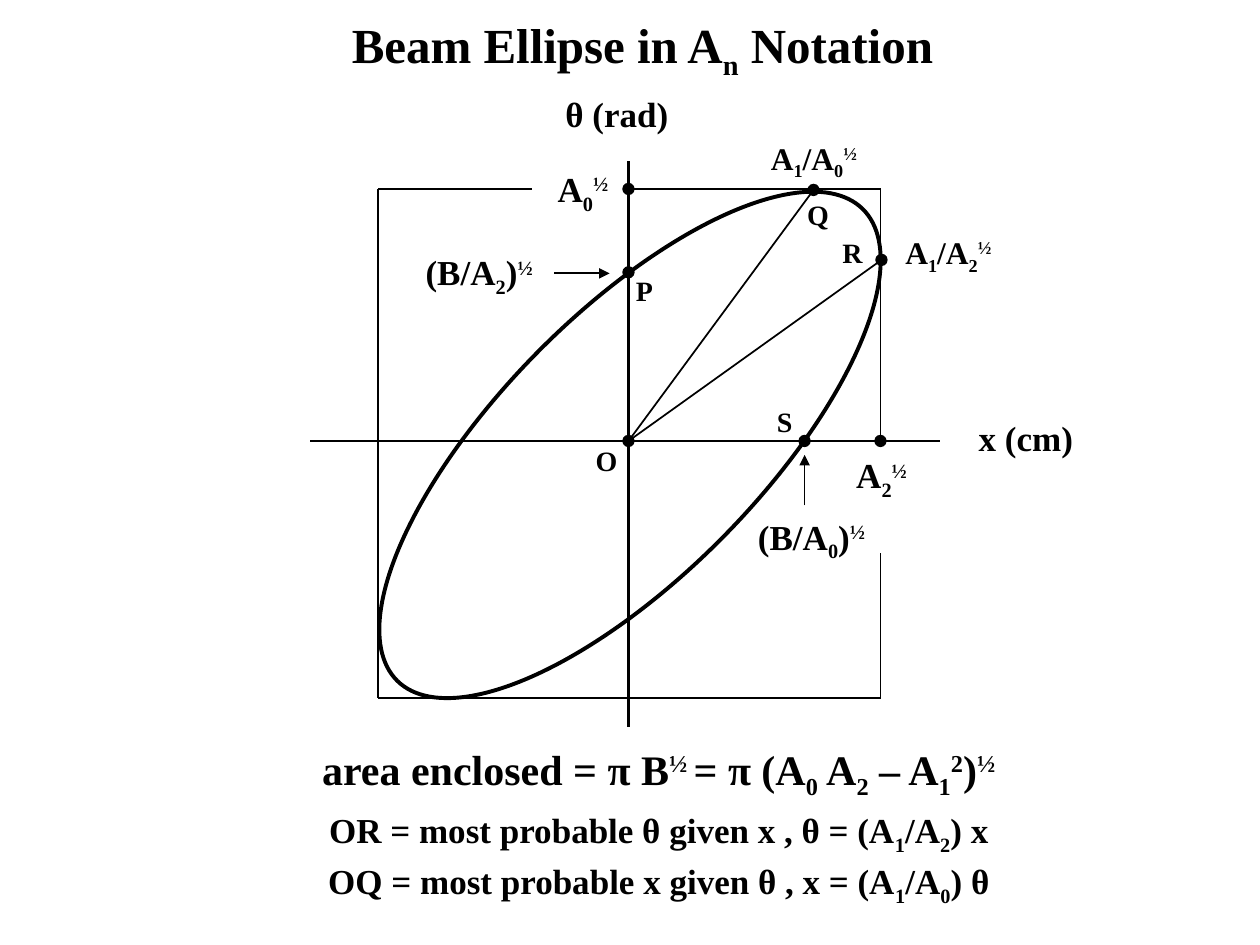
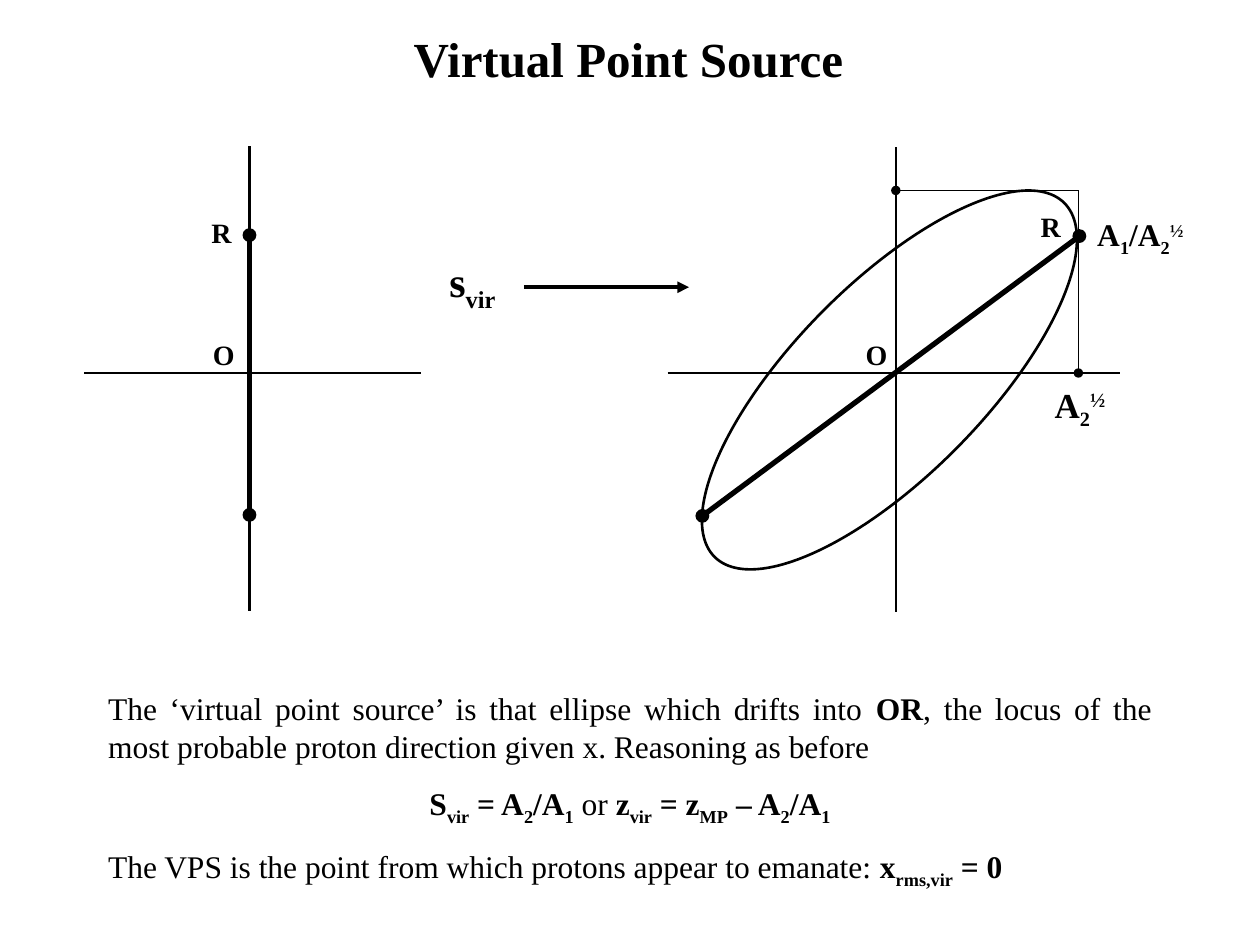
from dataclasses import dataclass
from typing import Any

from lxml import etree
from pptx import Presentation
from pptx.dml.color import RGBColor
from pptx.enum.shapes import MSO_CONNECTOR as CONN, MSO_SHAPE as SHAPE
from pptx.enum.text import MSO_ANCHOR as ANCHOR, MSO_AUTO_SIZE as AUTO, PP_ALIGN as ALIGN
from pptx.oxml.ns import qn
from pptx.util import Cm, Pt

COLORS = {"ink": "000000", "paper": "FFFFFF"}
FONT = "Times New Roman"
BASELINES = {"_": "-25000", "^": "30000"}
EN, EM = " ", " "  # en space and em space, for the gaps inside formulas

A0_ROOT = "A|_0|^½"
A2_ROOT = "A|_2|^½"
A1_A0 = "A|_1|/A|_0|^½"
A1_A2 = "A|_1|/A|_2|^½"


def color(name):
    return RGBColor.from_string(COLORS[name])


def write(p, markup, size, bold=True, align=ALIGN.LEFT, before=0):
    """Fill p from parts split by |, where _ lowers, ^ raises and * makes bold."""
    p.alignment = align
    if before:
        p.space_before = Pt(before)
    p.font.name, p.font.size, p.font.bold = FONT, Pt(size), bold
    p.font.color.rgb = color("ink")
    for part in markup.split("|"):
        marks = part[:len(part) - len(part.lstrip("*_^"))]
        r = p.add_run()
        r.text = part[len(marks):]
        if "*" in marks:
            r.font.bold = True
        for mark in marks.replace("*", ""):
            r._r.get_or_add_rPr().set("baseline", BASELINES[mark])


def text_box(s, box, wrap=False, anchor=ANCHOR.TOP):
    tf = s.shapes.add_textbox(*map(Cm, box)).text_frame
    tf.word_wrap = wrap
    tf.vertical_anchor = anchor
    if not wrap:
        tf.auto_size = AUTO.SHAPE_TO_FIT_TEXT
    return tf


def title(s, box, markup):
    tf = text_box(s, box, wrap=True, anchor=ANCHOR.MIDDLE)
    write(tf.paragraphs[0], markup, 28, align=ALIGN.CENTER)


@dataclass
class Region:
    """Part of a slide; positions are in cm from an origin inside its box."""
    s: Any
    box: tuple
    origin: tuple = (0, 0)

    def at(self, x, y):
        return (self.box[0] + self.origin[0] + x, self.box[1] + self.origin[1] + y)

    def line(self, start, end, width=1, arrow=False):
        ends = map(Cm, self.at(*start) + self.at(*end))
        c = self.s.shapes.add_connector(CONN.STRAIGHT, *ends)
        c.line.color.rgb = color("ink")
        c.line.width = Pt(width)
        if arrow:
            tail = etree.SubElement(c.line._get_or_add_ln(), qn("a:tailEnd"))
            tail.set("type", "triangle")
        etree.SubElement(c._element.spPr, qn("a:effectLst"))

    def path_lines(self, *points):
        for start, end in zip(points, points[1:]):
            self.line(start, end)

    def axes(self):
        w, h = self.box[2:]
        ox, oy = self.origin
        self.line((0, -oy), (0, h - oy), 1.5)
        self.line((-ox, 0), (w - ox, 0), 1.5)

    def oval(self, center, w, h):
        x, y = self.at(*center)
        sp = self.s.shapes.add_shape(
            SHAPE.OVAL, Cm(x - w / 2), Cm(y - h / 2), Cm(w), Cm(h))
        sp.shadow.inherit = False
        return sp

    def beam_ellipse(self, center, w, h, width):
        sp = self.oval(center, w, h)
        sp.rotation = 44.6
        sp.fill.background()
        sp.line.color.rgb = color("ink")
        sp.line.width = Pt(width)

    def dots(self, points, size):
        for point in points:
            sp = self.oval(point, size, size)
            sp.fill.solid()
            sp.fill.fore_color.rgb = color("ink")
            sp.line.fill.background()

    def labels(self, size, width, items):
        for markup, x, y in items:
            tf = text_box(self.s, self.at(x, y) + (width, size * 0.06))
            write(tf.paragraphs[0], markup, size)


def notation_plot(s, box):
    plot = Region(s, box, (6.42, 5.64))
    left, right, top, bottom = -5.05, 5.08, -5.08, 5.18
    o, a0, a2 = (0, 0), (0, top), (right, 0)
    p_pt, q_pt, r_pt, s_pt = (0, -3.4), (3.73, -5.06), (5.1, -3.65), (3.55, 0)

    plot.axes()
    plot.beam_ellipse((0.03, 0.08), 5.28, 13.36, 2.25)
    plot.path_lines(a0, (right, top), a2)
    plot.path_lines((-1.95, top), (left, top), (left, bottom),
                    (right, bottom), (right, 2.26))
    plot.path_lines(q_pt, o, r_pt)
    plot.line((3.55, 1.3), (3.55, 0.28), arrow=True)
    plot.line((-1.5, -3.38), (-0.38, -3.38), arrow=True)
    plot.dots([o, a0, a2, p_pt, q_pt, r_pt, s_pt], 0.25)

    plot.labels(20, 2.8, [
        ("x (cm)", 6.81, -0.61),
        ("θ (rad)", -1.52, -7.14),
        ("(B/A|_2|)|^½", -4.34, -3.96),
        ("(B/A|_0|)|^½", 2.36, 1.37),
    ])
    plot.labels(20, 1.6, [(A0_ROOT, -1.68, -5.64), (A2_ROOT, 4.34, 0.13)])
    plot.labels(18, 2.36, [(A1_A0, 2.62, -6.22), (A1_A2, 5.33, -4.32)])
    plot.labels(16, 0.9, [
        ("O", -0.91, -0.08),
        ("S", 2.74, -0.86),
        ("R", 4.06, -4.27),
        ("Q", 3.35, -5.03),
        ("P", -0.1, -3.51),
    ])


def notation_formulas(s, box):
    left, top, width, _ = box
    for dy, size, markup in [
        (0, 24, "area enclosed = π B|^½ |= π (A|_0| A|_2| – A|_1|^2|)|^½"),
        (1.32, 20, f"OR = most probable θ{EN}given{EN}x ,{EN}θ = (A|_1|/A|_2|) x"),
        (2.34, 20, f"OQ = most probable x{EN}given{EN}θ ,{EN}x = (A|_1|/A|_0|) θ"),
    ]:
        tf = text_box(s, (left, top + dy, width, size * 0.06), wrap=True)
        write(tf.paragraphs[0], markup, size, align=ALIGN.CENTER)


def point_source_plot(s, box):
    plot = Region(s, box, (3.33, 4.57))
    ends = [(0, 2.86), (0, -2.78)]
    plot.axes()
    plot.line(*ends, width=3)
    plot.dots(ends, 0.28)
    plot.labels(16, 0.9, [("O", -0.99, -0.84), ("R", -1.02, -3.3)])


def drift_arrow(s, box):
    drift = Region(s, box)
    drift.labels(24, 1.65, [("s|_vir", 0, 0)])
    drift.line((1.75, 0.76), (box[2], 0.76), 2.25, arrow=True)


def drifted_plot(s, box):
    plot = Region(s, box, (4.6, 4.55))
    a = 3.68
    ends = [(-3.9, 2.88), (3.7, -2.76)]
    plot.axes()
    plot.beam_ellipse((-0.13, 0.14), 3.86, 10.03, 1.5)
    plot.path_lines((0, -a), (a, -a), (a, 0))
    plot.line(*ends, width=3)
    plot.dots([(0, -a), (a, 0)], 0.19)
    plot.dots(ends, 0.28)
    plot.labels(16, 0.9, [("O", -0.86, -0.84), ("R", 2.67, -3.43)])
    plot.labels(18, 2.36, [(A1_A2, 3.81, -3.3)])
    plot.labels(20, 1.6, [(A2_ROOT, 2.95, 0.08)])


def source_text(s, box):
    tf = text_box(s, box, wrap=True)
    paragraphs = [
        (ALIGN.JUSTIFY, "The ‘virtual point source’ is that ellipse which drifts into |*OR|"
         ", the locus of the most probable proton direction given x. Reasoning as before"),
        (ALIGN.CENTER, f"*S|*_vir|* = A|*_2|*/A|*_1|{EM}or{EM}|*z|*_vir|* = z|*_MP|"
         "* – A|*_2|*/A|*_1"),
        (ALIGN.JUSTIFY, "The VPS is the point from which protons appear to emanate:"
         f"{EN}|*x|*_rms,vir|* = 0"),
    ]
    for i, (align, markup) in enumerate(paragraphs):
        p = tf.add_paragraph() if i else tf.paragraphs[0]
        write(p, markup, 18, bold=False, align=align, before=11.2 if i else 0)


def new_slide(prs):
    s = prs.slides.add_slide(prs.slide_layouts[6])
    s.background.fill.solid()
    s.background.fill.fore_color.rgb = color("paper")
    return s


def notation_slide(prs):
    s = new_slide(prs)
    notation_plot(s, (6.25, 3.25, 12.7, 11.4))
    title(s, (1.52, 0.28, 22.86, 1.37), "Beam Ellipse in A|_n| Notation")
    notation_formulas(s, (5.08, 14.86, 16.4, 3.6))


def source_slide(prs):
    s = new_slide(prs)
    title(s, (1.24, 0.46, 22.86, 1.4), "Virtual Point Source")
    point_source_plot(s, (1.7, 2.95, 6.78, 9.37))
    drift_arrow(s, (8.81, 5.03, 5.08, 1.42))
    drifted_plot(s, (13.46, 2.97, 9.12, 9.37))
    source_text(s, (1.93, 13.77, 21.54, 4.8))


def main():
    prs = Presentation()
    prs.slide_width, prs.slide_height = Cm(25.4), Cm(19.05)
    notation_slide(prs)
    source_slide(prs)
    prs.save("out.pptx")


if __name__ == "__main__":
    main()
